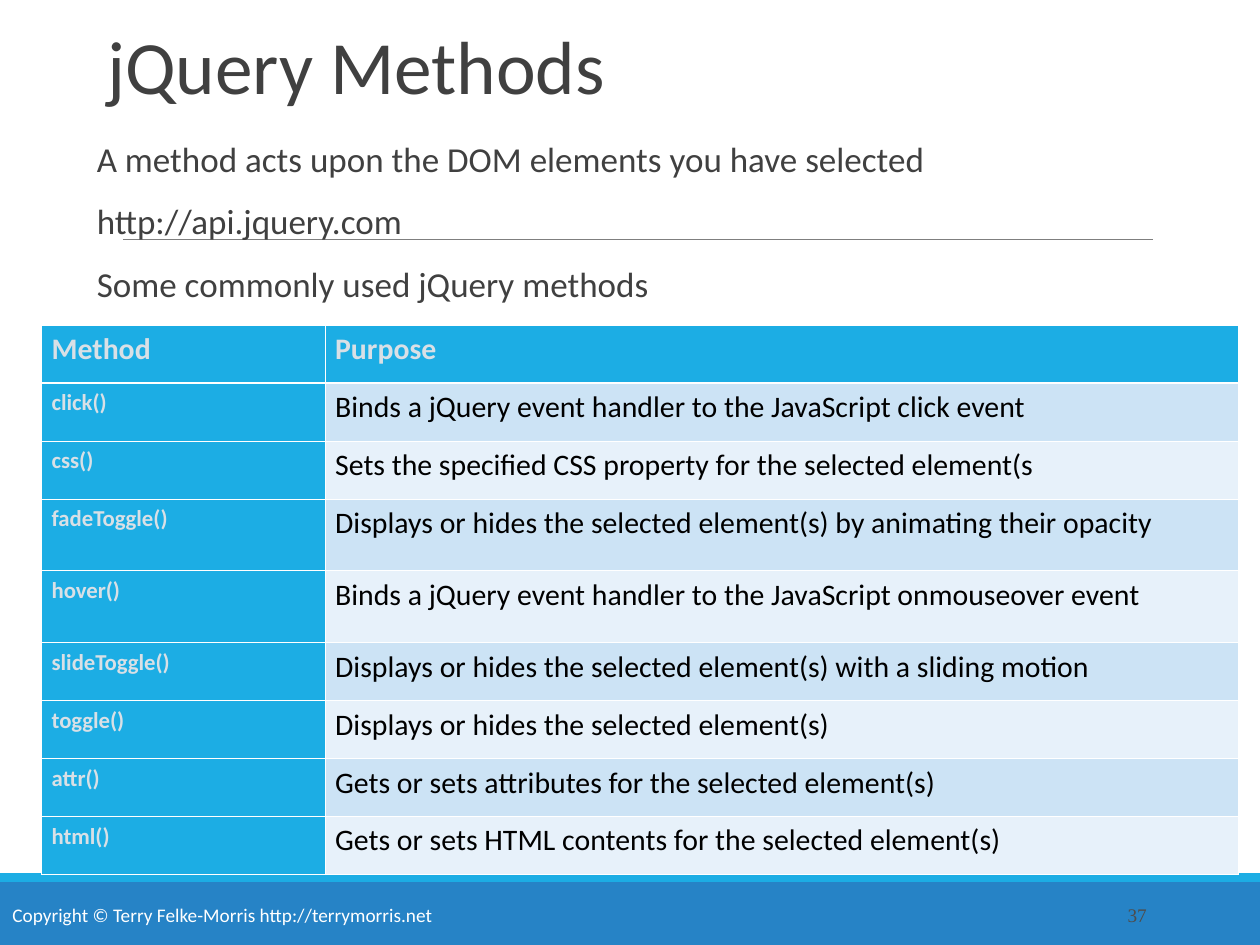
"""Build a slide that lists commonly used jQuery methods."""
from lxml import etree
from pptx import Presentation
from pptx import util as u
from pptx.dml.color import RGBColor
from pptx.enum import shapes, text
from pptx.oxml import ns

WHITE = RGBColor(0xFF, 0xFF, 0xFF)
BLACK = RGBColor(0x00, 0x00, 0x00)
DARK = RGBColor(0x40, 0x40, 0x40)
RULE_GRAY = RGBColor(0x7F, 0x7F, 0x7F)
NUMBER_GRAY = RGBColor(0x4D, 0x4D, 0x4D)
PALE = RGBColor(0xD9, 0xE0, 0xE6)
BLUE = RGBColor(0x26, 0x83, 0xC6)
CYAN = RGBColor(0x1C, 0xAD, 0xE4)
BAND_DARK = RGBColor(0xCC, 0xE3, 0xF5)
BAND_LIGHT = RGBColor(0xE7, 0xF1, 0xFA)

INTRO = [
    "A method acts upon the DOM elements you have selected",
    "http://api.jquery.com",
    "Some commonly used jQuery methods",
]
METHODS = [
    ("Method", "Purpose"),
    ("click()", "Binds a jQuery event handler to the JavaScript click event"),
    ("css()", "Sets the specified CSS property for the selected element(s"),
    ("fadeToggle()", "Displays or hides the selected element(s) by animating their opacity"),
    ("hover()", "Binds a jQuery event handler to the JavaScript onmouseover event"),
    ("slideToggle()", "Displays or hides the selected element(s) with a sliding motion"),
    ("toggle()", "Displays or hides the selected element(s)"),
    ("attr()", "Gets or sets attributes for the selected element(s)"),
    ("html()", "Gets or sets HTML contents for the selected element(s)"),
]
TALL_ROWS = (3, 4)


def add_span(para, words, size, color, bold=False, font="Calibri"):
    span = para.add_run()
    span.text = words
    span.font.name = font
    span.font.size = u.Pt(size)
    span.font.bold = bold
    span.font.color.rgb = color


def add_border(cell, side, width):
    properties = cell._tc.get_or_add_tcPr()
    line = etree.SubElement(properties, ns.qn(f"a:ln{side}"), w=str(u.Pt(width)))
    fill = etree.SubElement(line, ns.qn("a:solidFill"))
    etree.SubElement(fill, ns.qn("a:srgbClr"), val=str(WHITE))


deck = Presentation()
deck.slide_width = u.Inches(10)
deck.slide_height = u.Inches(7.5)
slide = deck.slides.add_slide(deck.slide_layouts[5])

for top, height, color in [(7, 0.5, BLUE), (6.93, 0.07, CYAN)]:
    bar = slide.shapes.add_shape(
        shapes.MSO_SHAPE.RECTANGLE, u.Inches(0), u.Inches(top), u.Inches(10), u.Inches(height))
    bar.shadow.inherit = False
    bar.fill.solid()
    bar.fill.fore_color.rgb = color
    bar.line.fill.background()

rule = slide.shapes.add_connector(
    shapes.MSO_CONNECTOR.STRAIGHT, u.Inches(0.98), u.Inches(1.9), u.Inches(9.15), u.Inches(1.9))
rule.line.color.rgb = RULE_GRAY
rule.line.width = u.Pt(0.5)
etree.SubElement(rule._element.spPr, ns.qn("a:effectLst"))

title = slide.shapes.title
title.left, title.top = u.Inches(0.75), u.Inches(0.3)
title.width, title.height = u.Inches(8.5), u.Inches(0.62)
title.text_frame.auto_size = text.MSO_AUTO_SIZE.NONE
title.text_frame.vertical_anchor = text.MSO_ANCHOR.BOTTOM
para = title.text_frame.paragraphs[0]
para.alignment = text.PP_ALIGN.LEFT
para.line_spacing = 0.85
add_span(para, "jQuery Methods", 43, DARK)

intro = slide.shapes.add_textbox(u.Inches(0.67), u.Inches(1.08), u.Inches(8.5), u.Inches(4.08))
intro.text_frame.word_wrap = True
for index, words in enumerate(INTRO):
    para = intro.text_frame.add_paragraph() if index else intro.text_frame.paragraphs[0]
    para.line_spacing = 0.9
    para.space_before = u.Pt(12 if index else 0)
    para.space_after = u.Pt(2)
    add_span(para, words, 20, DARK)

footer = slide.shapes.add_textbox(u.Inches(0), u.Inches(7.12), u.Inches(6.5), u.Inches(0.29))
footer.text_frame.word_wrap = True
add_span(footer.text_frame.paragraphs[0],
         "Copyright © Terry Felke-Morris http://terrymorris.net", 11, WHITE)

number = slide.shapes.add_textbox(u.Inches(8.12), u.Inches(7.06), u.Inches(1.08), u.Inches(0.4))
number.text_frame.word_wrap = True
number.text_frame.vertical_anchor = text.MSO_ANCHOR.MIDDLE
para = number.text_frame.paragraphs[0]
para.alignment = text.PP_ALIGN.RIGHT
add_span(para, "37", 11, NUMBER_GRAY, font="Times New Roman")

table = slide.shapes.add_table(
    len(METHODS), 2, u.Inches(0.33), u.Inches(2.58), u.Inches(9.5), u.Inches(4.33)).table
table.columns[0].width = u.Inches(2.25)
table.columns[1].width = u.Inches(7.25)

for row, entry in enumerate(METHODS):
    table.rows[row].height = u.Inches(0.57 if row in TALL_ROWS else 0.46)
    for column, words in enumerate(entry):
        cell = table.cell(row, column)
        cell.margin_left = cell.margin_right = u.Inches(0.08)
        heading = row == 0 or column == 0
        add_span(cell.text_frame.paragraphs[0], words, 13 if row and column == 0 else 17,
                 PALE if heading else BLACK, bold=heading)
        for side in "LRTB":
            under_header = (row, side) in [(0, "B"), (1, "T")]
            add_border(cell, side, 1.47 if under_header else 0.45)
        cell.fill.solid()
        cell.fill.fore_color.rgb = CYAN if heading else BAND_DARK if row % 2 else BAND_LIGHT

deck.save("out.pptx")
